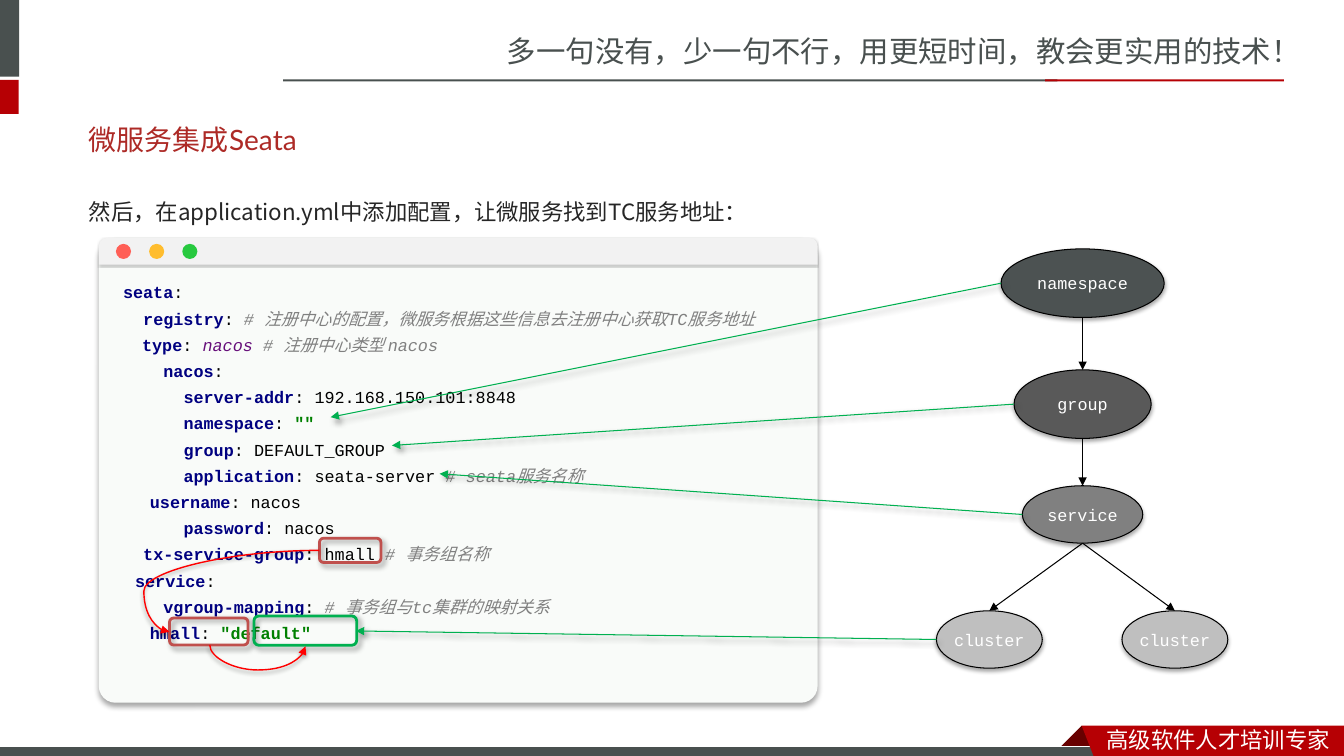
"""Build the slide that maps Seata client settings to the registry hierarchy."""
from dataclasses import dataclass

from lxml import etree
from pptx import Presentation
from pptx import util as u
from pptx.dml.color import RGBColor
from pptx.enum import shapes, text
from pptx.oxml import ns

Pt = u.Pt
Kind = shapes.MSO_SHAPE
Link = shapes.MSO_CONNECTOR


@dataclass(frozen=True)
class Theme:
    slate: str = "49504F"
    red: str = "B60004"
    fold: str = "680000"
    white: str = "FFFFFF"
    black: str = "000000"
    heading: str = "AD2A26"
    body: str = "262626"
    window: str = "F9FBF9"
    toolbar: str = "F2F2F2"
    buttons: tuple = ("FF5F56", "FFBD2E", "27C93F")
    levels: tuple = ("4C5252", "595959", "808080", "BFBFBF")
    mark: str = "C0504D"
    green: str = "00B050"
    curve: str = "FF0000"
    key: str = "000080"
    comment: str = "808080"
    constant: str = "660E7A"
    string: str = "008000"
    slogan_size: float = 21
    title_size: float = 20
    body_size: float = 16
    code_size: float = 12
    cjk: str = "Noto Sans CJK SC"
    body_font: str = "Noto Sans CJK JP"
    title_font: str = "Lato"
    mono: str = "Courier New"
    window_shadow: tuple = (34, 4, 3, 90)
    toolbar_shadow: tuple = (20, 1, 1, 90)
    node_shadow: tuple = (35, 3.1, 1.8, 90)
    curve_shadow: tuple = (38, 3.1, 1.6, 90)
    mark_shadow: tuple = (40, 4, 3, 45)


class SlideBuilder:
    def __init__(self, slide, theme):
        self.slide, self.theme = slide, theme

    def child(self, parent, tag, **attributes):
        node = etree.SubElement(parent, ns.qn(tag))
        for name, value in attributes.items():
            node.set(name, str(value))
        return node

    def shadow(self, effects, style):
        if style:
            alpha, blur, distance, angle = style
            outer = self.child(effects, "a:outerShdw", blurRad=int(Pt(blur)), dist=int(Pt(distance)),
                               dir=angle * 60000, algn="t", rotWithShape=0)
            color = self.child(outer, "a:srgbClr", val=self.theme.black)
            self.child(color, "a:alpha", val=alpha * 1000)

    def paint(self, shape, fill=None, line=None, weight=0.75, shadow=None):
        if fill:
            shape.fill.solid()
            shape.fill.fore_color.rgb = RGBColor.from_string(fill)
        else:
            shape.fill.background()
        if line:
            shape.line.color.rgb = RGBColor.from_string(line)
            shape.line.width = Pt(weight)
        else:
            shape.line.fill.background()
        shape.shadow.inherit = False
        self.shadow(shape.element.spPr.find(ns.qn("a:effectLst")), shadow)
        return shape

    def shape(self, kind, box, fill=None, corner=None, **look):
        shape = self.slide.shapes.add_shape(kind, *map(Pt, box))
        if corner is not None:
            shape.adjustments[0] = corner
        return self.paint(shape, fill, **look)

    def outline(self, points, fill):
        start, *rest = [(Pt(x), Pt(y)) for x, y in points]
        builder = self.slide.shapes.build_freeform(*start)
        builder.add_line_segments(rest, close=True)
        return self.paint(builder.convert_to_shape(), fill)

    def run(self, paragraph, words, font, size, color, bold=False, italic=False, east=None):
        run = paragraph.add_run()
        run.text = words
        run.font.name, run.font.size = font, Pt(size)
        run.font.bold, run.font.italic = bold, italic
        run.font.color.rgb = RGBColor.from_string(color)
        self.child(run.font._element, "a:ea", typeface=east or self.theme.cjk)

    def frame(self, box, margins=(7.2, 3.6)):
        frame = self.slide.shapes.add_textbox(*map(Pt, box)).text_frame
        frame.word_wrap = True
        frame.margin_left = frame.margin_right = Pt(margins[0])
        frame.margin_top = frame.margin_bottom = Pt(margins[1])
        return frame

    def placeholder(self, holder, box, words, font, size, color, anchor, spacing, before):
        holder.left, holder.top, holder.width, holder.height = map(Pt, box)
        frame = holder.text_frame
        frame.auto_size = text.MSO_AUTO_SIZE.NONE
        frame.vertical_anchor = anchor
        paragraph = frame.paragraphs[0]
        paragraph.alignment = text.PP_ALIGN.LEFT
        paragraph.line_spacing, paragraph.space_before = spacing, Pt(before)
        properties = paragraph._p.get_or_add_pPr()
        properties.set("marL", "0")
        properties.set("indent", "0")
        self.child(properties, "a:buNone")
        east = font if font == self.theme.body_font else None
        self.run(paragraph, words, font, size, color, east=east)

    def node(self, words, x, y, width, height, fill):
        box = (x - width / 2, y - height / 2, width, height)
        oval = self.shape(Kind.OVAL, box, fill, line=self.theme.black, shadow=self.theme.node_shadow)
        frame = oval.text_frame
        frame.margin_left = frame.margin_right = 0
        frame.vertical_anchor = text.MSO_ANCHOR.MIDDLE
        frame.paragraphs[0].alignment = text.PP_ALIGN.CENTER
        self.run(frame.paragraphs[0], words, self.theme.mono, self.theme.code_size, self.theme.white)

    def arrow(self, start, end, color, weight=0.75, shadow=None, bend=None, turn=0):
        kind = Link.STRAIGHT if bend is None else Link.CURVE
        arrow = self.slide.shapes.add_connector(kind, *map(Pt, (*start, *end)))
        arrow.line.color.rgb = RGBColor.from_string(color)
        arrow.line.width = Pt(weight)
        properties = arrow._element.spPr
        self.child(properties.find(ns.qn("a:ln")), "a:tailEnd", type="triangle")
        self.shadow(self.child(properties, "a:effectLst"), shadow)
        if turn:
            properties.find(ns.qn("a:xfrm")).set("rot", str(turn * 60000))
        if bend is not None:
            guides = properties.find(ns.qn("a:prstGeom")).find(ns.qn("a:avLst"))
            self.child(guides, "a:gd", name="adj1", fmla=f"val {round(bend * 100000)}")

    def code(self, box, lines):
        theme = self.theme
        styles = {"plain": (theme.black, False, False), "key": (theme.key, True, False),
                  "comment": (theme.comment, False, True), "constant": (theme.constant, False, True),
                  "string": (theme.string, True, False)}
        frame = self.frame(box, (17.3, 3.6))
        for row, (indent, key, *parts) in enumerate(lines):
            paragraph = frame.add_paragraph() if row else frame.paragraphs[0]
            paragraph.line_spacing = Pt(18.7)
            paragraph._p.get_or_add_pPr().set("marL", str(int(Pt(indent))))
            for style, words in (("key", key), *parts):
                self.run(paragraph, words, theme.mono, theme.code_size, *styles[style])


CONFIG = [
    (0, "seata", ("plain", ":")),
    (14.4, "registry", ("plain", ": "), ("comment", "# 注册中心的配置，微服务根据这些信息去注册中心获取TC服务地址")),
    (13.6, "type", ("plain", ": "), ("constant", "nacos "), ("comment", "# 注册中心类型 nacos")),
    (28.8, "nacos", ("plain", ":")),
    (43.2, "server-addr", ("plain", ": 192.168.150.101:8848")),
    (43.2, "namespace", ("plain", ": "), ("string", '""')),
    (43.2, "group", ("plain", ": DEFAULT_GROUP")),
    (43.2, "application", ("plain", ": seata-server "), ("comment", "# seata服务名称")),
    (19.2, "username", ("plain", ": nacos")),
    (43.2, "password", ("plain", ": nacos")),
    (14.4, "tx-service-group", ("plain", ": hmall "), ("comment", "# 事务组名称")),
    (8.6, "service", ("plain", ":")),
    (28.8, "vgroup-mapping", ("plain", ": "), ("comment", "# 事务组与tc集群的映射关系")),
    (19.2, "hmall", ("plain", ": "), ("string", '"default"')),
]


def main():
    theme = Theme()
    deck = Presentation()
    deck.slide_width, deck.slide_height = Pt(960), Pt(540)
    slide = deck.slides.add_slide(deck.slide_layouts[1])
    page = SlideBuilder(slide, theme)

    for box, color in [((-4, 0, 17.7, 54.8), theme.slate), ((-4, 57, 17.4, 24.4), theme.red),
                       ((202.3, 56.6, 553, 1.5), theme.slate), ((746.6, 56.6, 170.6, 1.5), theme.red)]:
        page.shape(Kind.RECTANGLE, box, color)
    page.outline([(772.6, 518.4), (788.4, 534.4), (787.7, 535), (757.4, 535), (756.7, 534.4)], theme.fold)
    page.shape(Kind.RECTANGLE, (-0.7, 533.5, 792, 8.6), theme.slate, line=theme.white)
    page.outline([(772.6, 518.4), (960, 518.4), (960, 543), (782, 542.2)], theme.red)
    for words, box, size, color in [
            ("多一句没有，少一句不行，用更短时间，教会更实用的技术！", (355, 20, 605, 34), theme.slogan_size, theme.slate),
            ("高级软件人才培训专家", (783.4, 514.8, 176.6, 26.6), theme.body_size, theme.white)]:
        page.run(page.frame(box).paragraphs[0], words, theme.cjk, size, color)

    page.placeholder(slide.shapes.title, (56.2, 83.5, 842.4, 31.7), "微服务集成Seata", theme.title_font,
                     theme.title_size, theme.heading, text.MSO_ANCHOR.MIDDLE, 1, 4)
    page.placeholder(slide.placeholders[1], (56.2, 128.2, 842.4, 303.8),
                     "然后，在application.yml中添加配置，让微服务找到TC服务地址：", theme.body_font,
                     theme.body_size, theme.body, text.MSO_ANCHOR.TOP, 1.5, 3.2)

    page.shape(Kind.ROUNDED_RECTANGLE, (70.6, 170, 513.4, 332), theme.window, 0.036, shadow=theme.window_shadow)
    page.code((70.6, 193.7, 513.4, 270.7), CONFIG)
    page.shape(Kind.ROUND_2_SAME_RECTANGLE, (70.6, 170, 513.4, 19.1), theme.toolbar, 0.3,
               shadow=theme.toolbar_shadow)
    for order, color in enumerate(theme.buttons):
        page.shape(Kind.OVAL, (82.8 + 23.7 * order, 174.2, 10.8, 10.8), color)

    axis, left_cluster, right_cluster = 773.3, 706.7, 839.2
    hierarchy = [("namespace", axis, 202.3, 116.6, 49), ("group", axis, 288.7, 98, 49),
                 ("service", axis, 367.5, 86, 41), ("cluster", left_cluster, 456.8, 75.6, 41),
                 ("cluster", right_cluster, 456.8, 75.6, 41)]
    for level, entry in enumerate(hierarchy):
        page.node(*entry, theme.levels[min(level, 3)])
    for parent, child in [(0, 1), (1, 2), (2, 3), (2, 4)]:
        _, x1, y1, _, h1 = hierarchy[parent]
        _, x2, y2, _, h2 = hierarchy[child]
        page.arrow((x1, y1 + h1 / 2), (x2, y2 - h2 / 2), theme.black)

    for box, color in [((228.2, 384.5, 43.9, 17.3), theme.mark), ((121, 441.4, 56.2, 19.4), theme.mark),
                       ((181.4, 440, 73.4, 20.9), theme.green)]:
        page.shape(Kind.ROUNDED_RECTANGLE, box, line=color, weight=2, shadow=theme.mark_shadow)
    page.arrow((228.2, 393.1), (121, 451.4), theme.curve, 1, theme.curve_shadow, bend=1.17)
    page.arrow((184.5, 427), (183.5, 495.4), theme.curve, 1, theme.curve_shadow, bend=18, turn=270)
    settings = [(236.2, 298), (280, 318.2), (314, 338.4), (254.2, 450.7)]
    for (_, x, y, width, _), setting in zip(hierarchy, settings):
        page.arrow((x - width / 2, y), setting, theme.green, shadow=theme.mark_shadow)

    deck.save("out.pptx")


if __name__ == "__main__":
    main()
